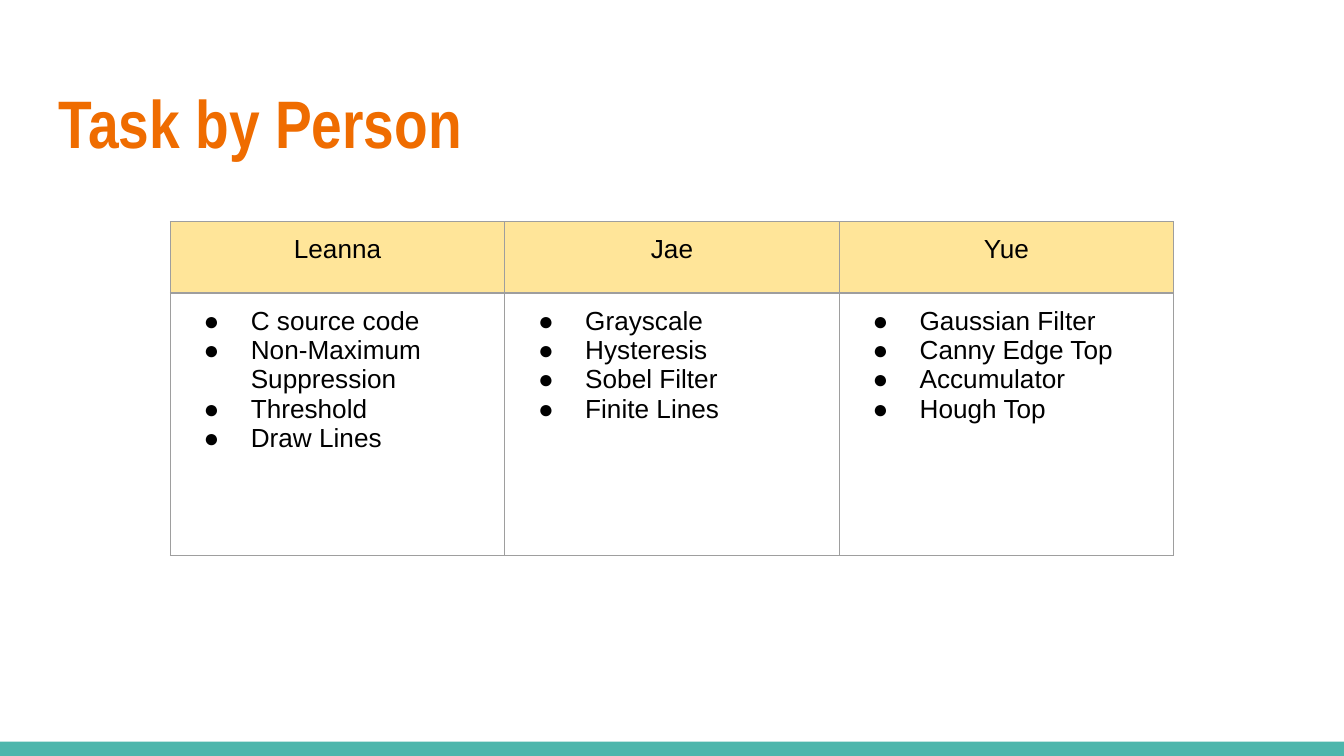
import dataclasses

import lxml.etree
import pptx
import pptx.dml.color
import pptx.enum.shapes
import pptx.enum.text
import pptx.oxml.ns
import pptx.util

Cm = pptx.util.Cm
Pt = pptx.util.Pt
qn = pptx.oxml.ns.qn


@dataclasses.dataclass(frozen=True)
class Theme:
    title_color: str = "EF6C00"
    text_color: str = "000000"
    header_fill: str = "FFE599"
    border_color: str = "9E9E9E"
    footer_fill: str = "4DB6AC"
    title_font: str = "Arial Narrow"
    body_font: str = "Arial"
    title_size: int = 36
    body_size: int = 14
    border_width: float = 0.75
    inset: float = 0.25


THEME = Theme()
TASKS = {
    "Leanna": ["C source code", "Non-Maximum Suppression", "Threshold", "Draw Lines"],
    "Jae": ["Grayscale", "Hysteresis", "Sobel Filter", "Finite Lines"],
    "Yue": ["Gaussian Filter", "Canny Edge Top", "Accumulator", "Hough Top"],
}


def rgb(color):
    return pptx.dml.color.RGBColor.from_string(color)


def format_runs(paragraph, font, size, color, bold=False):
    for run in paragraph.runs:
        run.font.name = font
        run.font.size = Pt(size)
        run.font.bold = bold
        run.font.color.rgb = rgb(color)


def set_margins(target):
    for side in ("left", "top", "right", "bottom"):
        setattr(target, f"margin_{side}", Cm(THEME.inset))


def add_bullet(paragraph):
    properties = paragraph._p.get_or_add_pPr()
    properties.set("marL", str(Cm(1.27)))
    properties.set("indent", str(-Cm(0.89)))
    bullet_color = lxml.etree.SubElement(properties, qn("a:buClr"))
    lxml.etree.SubElement(bullet_color, qn("a:srgbClr"), val=THEME.text_color)
    lxml.etree.SubElement(properties, qn("a:buFont"), typeface=THEME.body_font)
    lxml.etree.SubElement(properties, qn("a:buChar"), char="●")


def set_borders(cell):
    properties = cell._tc.get_or_add_tcPr()
    for index, side in enumerate(("lnL", "lnR", "lnT", "lnB")):
        line = lxml.etree.Element(qn(f"a:{side}"), w=str(Pt(THEME.border_width)))
        fill = lxml.etree.SubElement(line, qn("a:solidFill"))
        lxml.etree.SubElement(fill, qn("a:srgbClr"), val=THEME.border_color)
        properties.insert(index, line)


def add_footer_bar(slide, left, top, width, height):
    bar = slide.shapes.add_shape(
        pptx.enum.shapes.MSO_SHAPE.RECTANGLE, Cm(left), Cm(top), Cm(width), Cm(height))
    bar.shadow.inherit = False
    bar.fill.solid()
    bar.fill.fore_color.rgb = rgb(THEME.footer_fill)
    bar.line.fill.background()


def add_title(slide, text, left, top, width, height):
    frame = slide.shapes.add_textbox(Cm(left), Cm(top), Cm(width), Cm(height)).text_frame
    frame.word_wrap = True
    frame.vertical_anchor = pptx.enum.text.MSO_ANCHOR.TOP
    set_margins(frame)
    frame.text = text
    format_runs(frame.paragraphs[0], THEME.title_font, THEME.title_size,
                THEME.title_color, bold=True)


def fill_cell(cell, lines, header):
    set_margins(cell)
    cell.text_frame.text = "\n".join(lines)
    for paragraph in cell.text_frame.paragraphs:
        format_runs(paragraph, THEME.body_font, THEME.body_size, THEME.text_color)
        if header:
            paragraph.alignment = pptx.enum.text.PP_ALIGN.CENTER
        else:
            add_bullet(paragraph)
    if header:
        cell.fill.solid()
        cell.fill.fore_color.rgb = rgb(THEME.header_fill)
    else:
        cell.fill.background()
    set_borders(cell)


def add_task_table(slide, tasks, left, top, width, height, header_height):
    table = slide.shapes.add_table(
        2, len(tasks), Cm(left), Cm(top), Cm(width), Cm(height)).table
    table.first_row = False
    table.horz_banding = False
    table.rows[0].height = Cm(header_height)
    table.rows[1].height = Cm(height - header_height)
    for index, (person, items) in enumerate(tasks.items()):
        table.columns[index].width = Cm(width / len(tasks))
        fill_cell(table.cell(0, index), [person], header=True)
        fill_cell(table.cell(1, index), items, header=False)


def main():
    presentation = pptx.Presentation()
    presentation.slide_width = Cm(25.4)
    presentation.slide_height = Cm(14.29)
    slide = presentation.slides.add_slide(presentation.slide_layouts[6])

    # Footer band across the bottom edge
    add_footer_bar(slide, 0, 14.02, 25.4, 0.27)
    # Heading
    add_title(slide, "Task by Person", 0.86, 1.29, 23.67, 1.96)
    # One column of tasks for each person
    add_task_table(slide, TASKS, 3.22, 4.19, 18.96, 6.31, header_height=1.35)

    presentation.save("out.pptx")


if __name__ == "__main__":
    main()
